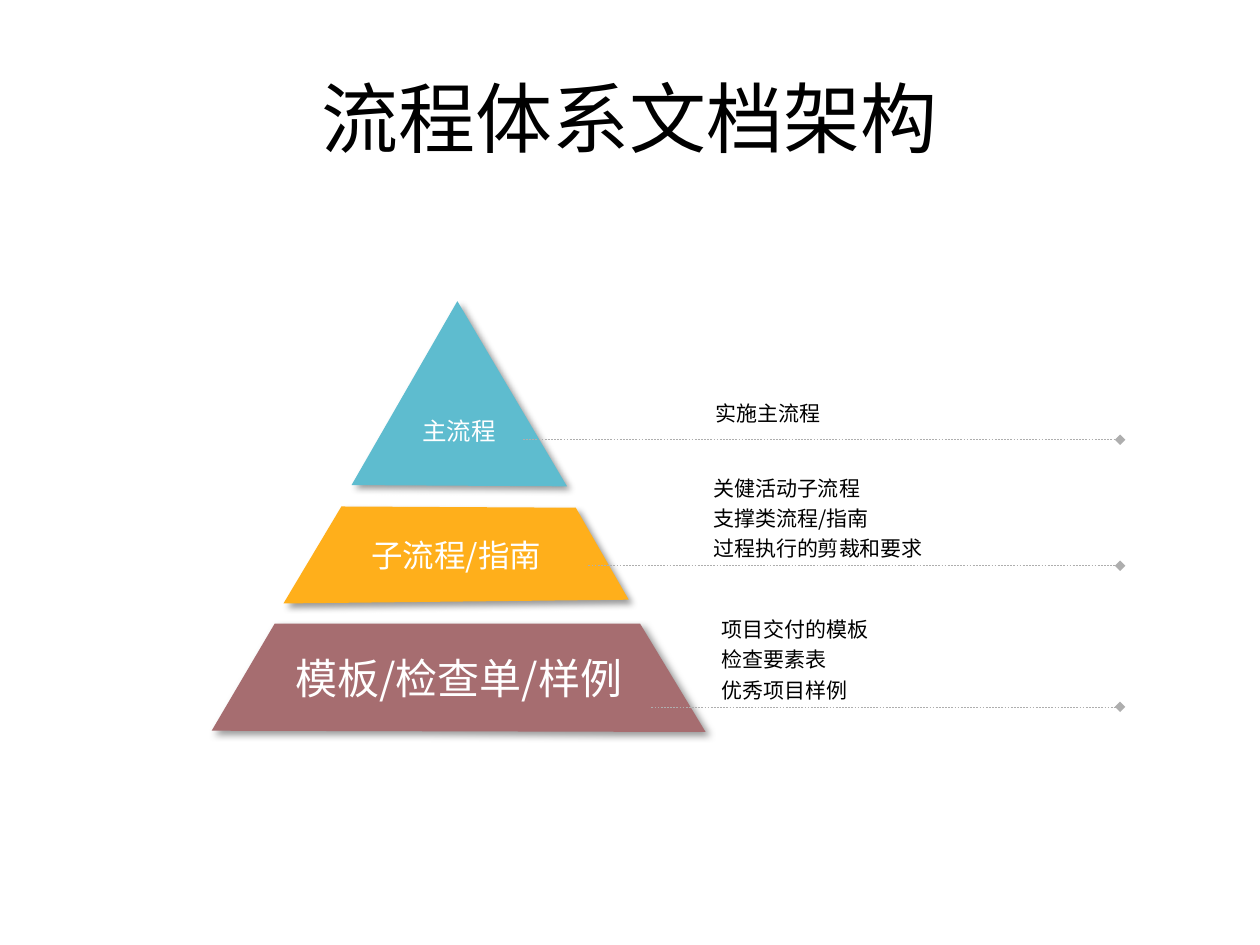
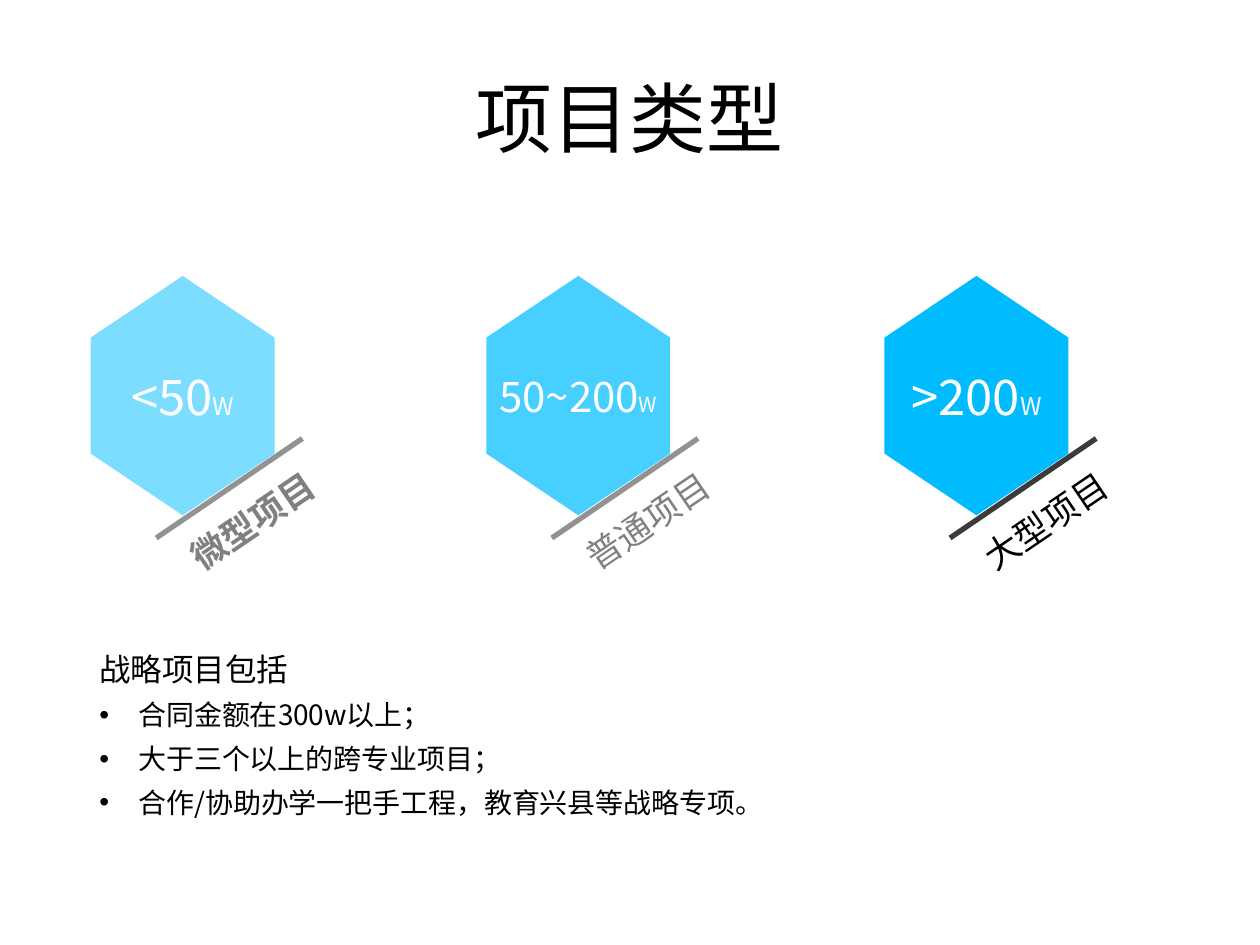
from lxml.etree import SubElement
from pptx import Presentation
from pptx.dml.color import RGBColor
from pptx.enum.dml import MSO_LINE
from pptx.enum.shapes import MSO_CONNECTOR
from pptx.enum.text import MSO_ANCHOR, PP_ALIGN
from pptx.oxml.ns import qn
from pptx.util import Emu, Pt

PX = 9144
SANS = "Noto Sans CJK SC"
WHITE, BLACK, GRAY, RULE = "FFFFFF", "000000", "808080", "AEAEAE"
INSET = (10, 5, 10, 5)

TIERS = [
    ("主流程", 14, "5EBCCF", (10, 63, 10, 5), [(279, 385), (363, 239), (450, 386)]),
    ("子流程/指南", 18, "FFAF1B", INSET, [(225, 479), (271, 402), (457, 403), (499, 476)]),
    ("模板/检查单/样例", 24, "A66D70", INSET, [(168, 580), (218, 495), (508, 495), (560, 581)]),
]
NOTES = [
    (["实施主流程"], (568, 312, 329, 27), (415, 349)),
    (["关健活动子流程", "支撑类流程/指南", "过程执行的剪裁和要求"], (566, 367, 329, 84), (467, 449)),
    (["项目交付的模板", "检查要素表", "优秀项目样例"], (573, 479, 329, 85), (517, 561)),
]
NOTE_END = 889

TYPES = [
    (72, "<50", 28, "7DDDFF", "微型项目", GRAY, "929292", True),
    (386, "50~200", 24, "47CFFF", "普通项目", GRAY, "929292", False),
    (702, ">200", 28, "00BBFE", "大型项目", BLACK, "3B3B3B", False),
]
HEX = [(73, 219), (146, 268), (146, 360), (73, 409), (0, 360), (0, 268)]
HEAD = "战略项目包括"
ITEMS = [
    "合同金额在300w以上；",
    "大于三个以上的跨专业项目；",
    "合作/协助办学一把手工程，教育兴县等战略专项。",
]


def px(n):
    return Emu(n * PX)


def rgb(code):
    return RGBColor.from_string(code)


def style(par, size, color, name=SANS, align=PP_ALIGN.CENTER, space=None, bold=None):
    par.alignment = align
    if space:
        par.line_spacing = space
    font = par.font
    font.size, font.name, font.bold = Pt(size), name, bold
    font.color.rgb = rgb(color)
    props = par._p.pPr.find(qn("a:defRPr"))
    SubElement(props, qn("a:ea")).set("typeface", SANS)


def frame(shape, inset=INSET):
    text = shape.text_frame
    text.word_wrap = True
    text.vertical_anchor = MSO_ANCHOR.MIDDLE
    text.margin_left, text.margin_top, text.margin_right, text.margin_bottom = map(px, inset)
    return text


def box(slide, area, inset=INSET):
    shape = slide.shapes.add_textbox(*map(px, area))
    return shape, frame(shape, inset)


def poly(slide, points, fill):
    path = slide.shapes.build_freeform(*points[0], scale=PX)
    path.add_line_segments(points[1:], close=True)
    shape = path.convert_to_shape()
    shape.shadow.inherit = False
    shape.fill.solid()
    shape.fill.fore_color.rgb = rgb(fill)
    shape.line.fill.background()
    return shape


def cast(shape):
    effects = shape._element.spPr.find(qn("a:effectLst"))
    outer = SubElement(effects, qn("a:outerShdw"), blurRad="50800", dist="38100",
                       dir="2700000", algn="tl", rotWithShape="0")
    color = SubElement(outer, qn("a:srgbClr"), val=BLACK)
    SubElement(color, qn("a:alpha"), val="40000")


def rule(slide, start, end, color, width):
    line = slide.shapes.add_connector(MSO_CONNECTOR.STRAIGHT, *map(px, start + end))
    line.line.color.rgb = rgb(color)
    line.line.width = Pt(width)
    SubElement(line._element.spPr, qn("a:effectLst"))
    return line


def lead(slide, start):
    line = rule(slide, start, (NOTE_END, start[1]), RULE, 0.25)
    line.line.dash_style = MSO_LINE.DASH
    SubElement(line._element.spPr.find(qn("a:ln")), qn("a:tailEnd"), type="diamond")


def bullet(par):
    props = par._p.get_or_add_pPr()
    props.set("marL", str(31 * PX))
    props.set("indent", str(-31 * PX))
    SubElement(props, qn("a:buFont"), typeface="Arial")
    SubElement(props, qn("a:buChar"), char="•")


def page(deck, title):
    slide = deck.slides.add_slide(deck.slide_layouts[5])
    head = slide.shapes.title
    head.left, head.top, head.width, head.height = map(px, (50, 30, 900, 125))
    text = frame(head)
    text.text = title
    style(text.paragraphs[0], 44, BLACK, "Calibri")
    return slide


def docs(deck):
    slide = page(deck, "流程体系文档架构")
    for label, size, fill, inset, points in TIERS:
        shape = poly(slide, points, fill)
        cast(shape)
        text = frame(shape, inset)
        text.text = label
        style(text.paragraphs[0], size, WHITE)
    for lines, area, start in NOTES:
        text = box(slide, area, (0, 0, 0, 0))[1]
        text.text = "\n".join(lines)
        for par in text.paragraphs:
            style(par, 12, BLACK, align=PP_ALIGN.JUSTIFY, space=1.2)
        lead(slide, start)


def kinds(deck):
    slide = page(deck, "项目类型")
    for left, value, size, fill, name, ink, edge, bold in TYPES:
        shape = poly(slide, [(left + x, y) for x, y in HEX], fill)
        par = frame(shape, (0, 0, 0, 0)).paragraphs[0]
        style(par, size, WHITE)
        par.add_run().text = value
        unit = par.add_run()
        unit.text = "W"
        unit.font.size = Pt(size // 2)
        rule(slide, (left + 52, 427), (left + 168, 348), edge, 3)
        label, text = box(slide, (left + 29, 385, 202, 62))
        label.rotation = 325.8
        text.text = name
        style(text.paragraphs[0], 20, ink, "Arial", space=0.8, bold=bold)
    text = box(slide, (69, 502, 862, 153), (10, 0, 10, 0))[1]
    text.text = "\n".join([HEAD] + ITEMS)
    for i, par in enumerate(text.paragraphs):
        if i:
            bullet(par)
        style(par, 16 if i else 18, BLACK, align=PP_ALIGN.JUSTIFY, space=1.3)


def main():
    deck = Presentation()
    deck.slide_width, deck.slide_height = px(1000), px(750)
    docs(deck)
    kinds(deck)
    deck.save("out.pptx")


if __name__ == "__main__":
    main()
